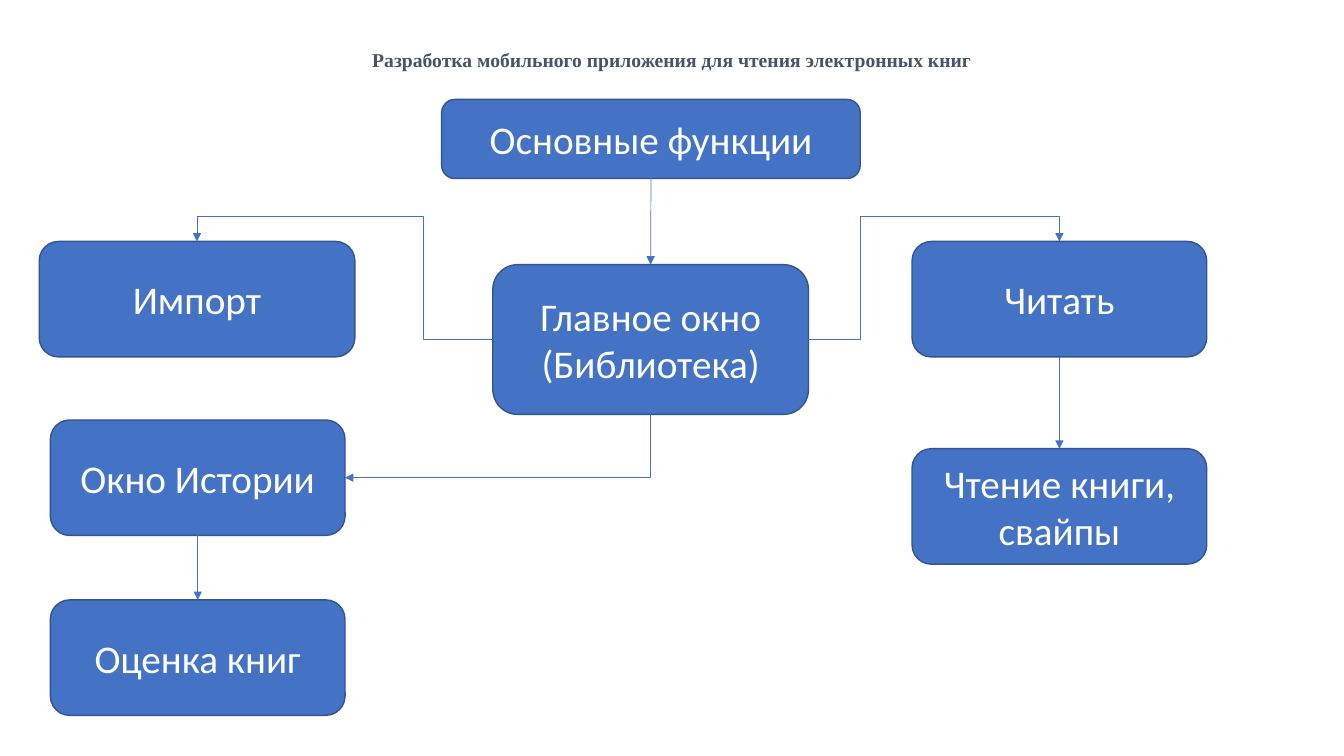
from lxml.etree import SubElement
from pptx import Presentation
from pptx.dml.color import RGBColor
from pptx.enum.shapes import MSO_CONNECTOR, MSO_SHAPE
from pptx.enum.text import MSO_ANCHOR, MSO_AUTO_SIZE, PP_ALIGN
from pptx.oxml.ns import qn
from pptx.util import Pt

TOP, LEFT, BOTTOM, RIGHT = range(4)
QUARTER_TURN = "5400000"


def color(hex_text):
    return RGBColor.from_string(hex_text)


class FlowSlide:
    """Holds the style and the slide that receives the elements."""

    fill = "4472C4"
    outline = "325491"
    title_color = "44546A"
    box_text = "FFFFFF"

    def __init__(self, deck):
        self.slide = deck.slides.add_slide(deck.slide_layouts[5])

    def add_lines(self, shape, lines, font, size, text_color, bold=False):
        """Fill a shape with one centred paragraph per line."""
        frame = shape.text_frame
        frame.word_wrap = True
        frame.auto_size = MSO_AUTO_SIZE.NONE
        frame.vertical_anchor = MSO_ANCHOR.MIDDLE
        for index, line in enumerate(lines):
            para = frame.add_paragraph() if index else frame.paragraphs[0]
            para.alignment = PP_ALIGN.CENTER
            span = para.add_run()
            span.text = line
            span.font.name = font
            span.font.size = Pt(size)
            span.font.bold = bold
            span.font.color.rgb = color(text_color)

    def title(self, text, left, top, width, height):
        title = self.slide.shapes.title
        title.left, title.top = Pt(left), Pt(top)
        title.width, title.height = Pt(width), Pt(height)
        self.add_lines(title, [text], "Times New Roman", 14, self.title_color, True)
        title.text_frame.paragraphs[0].line_spacing = 0.9

    def box(self, lines, left, top, width=210.5, height=82.5):
        box = self.slide.shapes.add_shape(
            MSO_SHAPE.ROUNDED_RECTANGLE, Pt(left), Pt(top), Pt(width), Pt(height))
        box.shadow.inherit = False
        box.fill.solid()
        box.fill.fore_color.rgb = color(self.fill)
        box.line.color.rgb = color(self.outline)
        box.line.width = Pt(1)
        self.add_lines(box, lines, "Calibri", 28, self.box_text)
        return box

    def arrow(self, start, start_side, end, end_side, kind=MSO_CONNECTOR.STRAIGHT):
        """Join two box sides with a thin line that ends in an arrowhead."""
        arrow = self.slide.shapes.add_connector(
            kind, *side_middle(start, start_side), *side_middle(end, end_side))
        arrow.begin_connect(start, start_side)
        arrow.end_connect(end, end_side)
        arrow.line.color.rgb = color(self.fill)
        arrow.line.width = Pt(0.5)
        line = arrow._element.spPr.find(qn("a:ln"))
        SubElement(line, qn("a:tailEnd"), type="triangle")
        SubElement(arrow._element.spPr, qn("a:effectLst"))
        return arrow

    def detour_arrow(self, start, start_side, end, across):
        """Leave sideways, rise above the end box and enter it from the top."""
        arrow = self.arrow(start, start_side, end, TOP, MSO_CONNECTOR.ELBOW)
        geometry = arrow._element.spPr.find(qn("a:prstGeom"))
        geometry.set("prst", "bentConnector4")
        guides = geometry.find(qn("a:avLst"))
        if guides is None:
            guides = SubElement(geometry, qn("a:avLst"))
        for name, share in (("adj1", across), ("adj2", 1.258)):
            SubElement(guides, qn("a:gd"), name=name, fmla=f"val {round(share * 100000)}")

    def corner_arrow(self, start, end):
        """Go down from the start box, then left into the end box."""
        arrow = self.arrow(start, BOTTOM, end, RIGHT, MSO_CONNECTOR.ELBOW)
        arrow._element.spPr.find(qn("a:prstGeom")).set("prst", "bentConnector2")
        start_x, start_y = side_middle(start, BOTTOM)
        end_x, end_y = side_middle(end, RIGHT)
        across, down = start_x - end_x, end_y - start_y
        frame = arrow._element.spPr.find(qn("a:xfrm"))
        for flip in ("flipH", "flipV"):
            frame.attrib.pop(flip, None)
        frame.set("rot", QUARTER_TURN)
        arrow.left = (start_x + end_x - down) // 2
        arrow.top = (start_y + end_y - across) // 2
        arrow.width, arrow.height = down, across


def side_middle(box, side):
    """Return the middle point of one side of a box."""
    x = {LEFT: box.left, RIGHT: box.left + box.width}.get(side, box.left + box.width // 2)
    y = {TOP: box.top, BOTTOM: box.top + box.height}.get(side, box.top + box.height // 2)
    return x, y


def main():
    deck = Presentation()
    deck.slide_width, deck.slide_height = Pt(960), Pt(540)
    page = FlowSlide(deck)
    page.title("Разработка мобильного приложения для чтения электронных книг",
               156, 21.6, 648, 44)

    functions = page.box(["Основные функции"], 315.5, 71, 299, 56.5)
    importing = page.box(["Импорт"], 28, 172.5, 225.5)
    library = page.box(["Главное окно", "(Библиотека)"], 352, 189, 225.5, 107)
    read = page.box(["Читать"], 651.5, 172.5)
    reading = page.box(["Чтение книги, свайпы"], 651.5, 320.5)
    history = page.box(["Окно Истории"], 36, 300)
    rating = page.box(["Оценка книг"], 36, 428.5)

    for upper, lower in ((functions, library), (read, reading), (history, rating)):
        page.arrow(upper, BOTTOM, lower, TOP)
    page.detour_arrow(library, LEFT, importing, 0.233)
    page.detour_arrow(library, RIGHT, read, 0.206)
    page.corner_arrow(library, history)
    deck.save("out.pptx")


if __name__ == "__main__":
    main()
